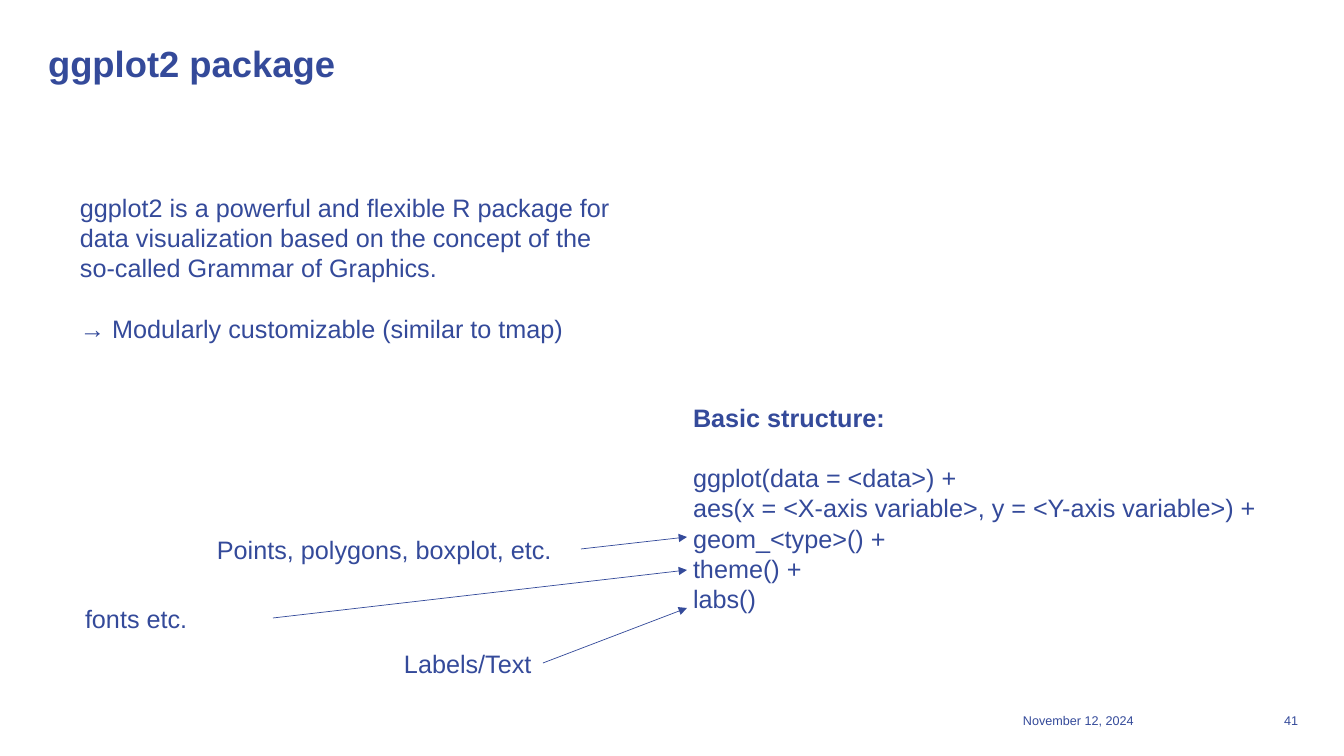
from lxml import etree
from pptx import Presentation
from pptx.dml.color import RGBColor
from pptx.enum.shapes import MSO_CONNECTOR
from pptx.enum.text import MSO_ANCHOR, PP_ALIGN
from pptx.oxml.ns import qn
from pptx.util import Emu, Pt

LEFT, RIGHT = PP_ALIGN.LEFT, PP_ALIGN.RIGHT
TOP = MSO_ANCHOR.TOP
STRAIGHT = MSO_CONNECTOR.STRAIGHT
RIGHT_SIDE = 3
BLUE = "344A9A"
BLANK_LINE = 21.6  # gap in points
INSETS = (10, 5, 10, 5)


def px(n):
    return Emu(round(n * 914400 / 100.8))


def add_text(left, top, width, height, lines, size=18, bold_lines=0, align=LEFT,
             insets=INSETS, line_spacing=None, gap_before=None):
    box = slide.shapes.add_textbox(px(left), px(top), px(width), px(height))
    frame = box.text_frame
    frame.word_wrap = True
    frame.vertical_anchor = TOP
    frame.margin_left, frame.margin_top, frame.margin_right, frame.margin_bottom = map(px, insets)
    for i, line in enumerate(lines):
        paragraph = frame.paragraphs[0] if i == 0 else frame.add_paragraph()
        paragraph.alignment = align
        if line_spacing:
            paragraph.line_spacing = line_spacing
        if i == gap_before:
            paragraph.space_before = Pt(BLANK_LINE)
        run = paragraph.add_run()
        run.text = line
        run.font.name = "Arial"
        run.font.size = Pt(size)
        run.font.bold = i < bold_lines
        run.font.color.rgb = RGBColor.from_string(BLUE)
    return box


presentation = Presentation()
presentation.slide_width, presentation.slide_height = px(1344), px(756)
slide = presentation.slides.add_slide(presentation.slide_layouts[6])

# Title
add_text(48, 40, 715, 146, ["ggplot2 package"], size=26, bold_lines=1,
         insets=(0, 0, 0, 0), line_spacing=Pt(32))

# Footer
add_text(1019, 713, 158, 20, ["November 12, 2024"], size=9, insets=(4, 0, 0, 0))
add_text(1259, 713, 39, 20, ["41"], size=9, align=RIGHT, insets=(0, 0, 0, 0))

# Introduction
add_text(70, 187, 557, 163, [
    "ggplot2 is a powerful and flexible R package for data visualization "
    "based on the concept of the so-called Grammar of Graphics.",
    "→ Modularly customizable (similar to tmap)",
], gap_before=1)

# Code structure
add_text(683, 397, 672, 224, [
    "Basic structure:",
    "ggplot(data = <data>) +",
    "aes(x = <X-axis variable>, y = <Y-axis variable>) +",
    "geom_<type>() +",
    "theme() +",
    "labs()",
], bold_lines=1, gap_before=1)

# Explanations, each with an arrow to its code line
explanations = [
    ("Points, polygons, boxplot, etc.", 207, 529, 374, 537),
    ("fonts etc.", 75, 598, 198, 570),
    ("Labels/Text", 394, 643, 149, 608),
]
for wording, left, top, width, code_line_y in explanations:
    explanation = add_text(left, top, width, 40, [wording])
    arrow = slide.shapes.add_connector(
        STRAIGHT, px(left + width), px(top + 20), px(687), px(code_line_y))
    arrow.begin_connect(explanation, RIGHT_SIDE)
    arrow.line.color.rgb = RGBColor.from_string(BLUE)
    arrow.line.width = Pt(0.5)
    etree.SubElement(arrow.line._get_or_add_ln(), qn("a:tailEnd"), type="triangle")
    etree.SubElement(arrow._element.spPr, qn("a:effectLst"))

presentation.save("out.pptx")
